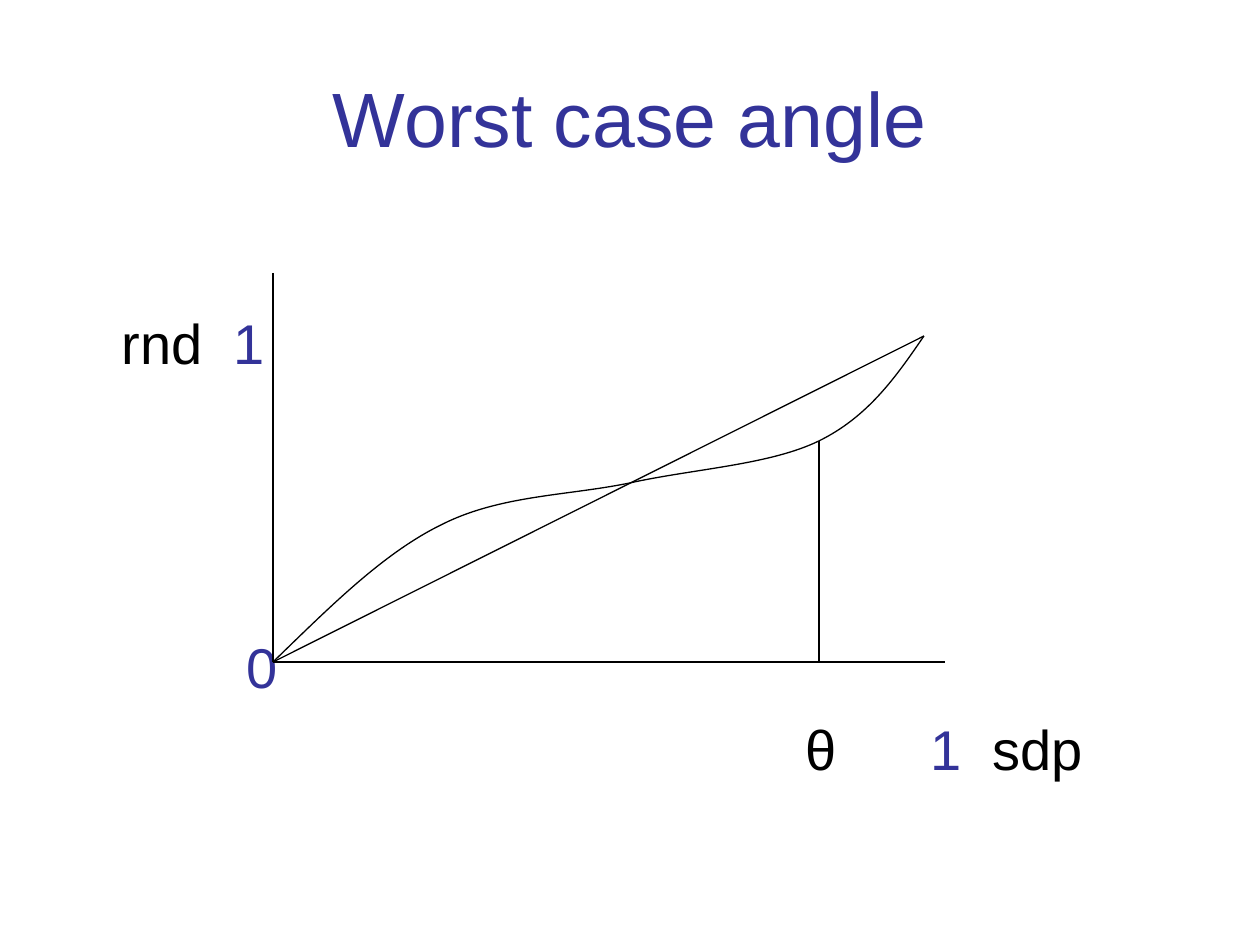
from dataclasses import dataclass

from lxml import etree
from pptx import Presentation
from pptx.dml.color import RGBColor
from pptx.enum.shapes import MSO_CONNECTOR
from pptx.enum.text import MSO_ANCHOR, MSO_AUTO_SIZE, PP_ALIGN
from pptx.oxml.ns import qn
from pptx.util import Pt

STRAIGHT = MSO_CONNECTOR.STRAIGHT
CENTER = PP_ALIGN.CENTER
LEFT = PP_ALIGN.LEFT
TOP = MSO_ANCHOR.TOP
MIDDLE = MSO_ANCHOR.MIDDLE
NO_AUTOFIT = MSO_AUTO_SIZE.NONE

EMU_PER_PX = 914400 / 126
FONT = "Arial"
COLORS = {"background": "FFFFFF", "ink": "000000", "accent": "333399"}

Point = tuple[int, int]


@dataclass(frozen=True)
class Label:
    text: str
    color: str = "ink"
    space_tracking: float = 0


@dataclass(frozen=True)
class LabelRow:
    indent: int
    labels: tuple[Label, ...]
    space_before: float = 0


@dataclass(frozen=True)
class Segment:
    begin: Point
    end: Point


@dataclass(frozen=True)
class Bezier:
    first_control: Point
    second_control: Point
    end: Point


ORIGIN = (273, 662)
UNIT_POINT = (924, 336)
THETA_POINT = (819, 441)

SEGMENTS = (
    Segment((ORIGIN[0], 273), ORIGIN),
    Segment(ORIGIN, (945, ORIGIN[1])),
    Segment(ORIGIN, UNIT_POINT),
    Segment(THETA_POINT, (THETA_POINT[0], ORIGIN[1])),
)

CURVE = (
    Bezier((328, 609), (382, 554), (441, 525)),
    Bezier((500, 495), (567, 496), (630, 483)),
    Bezier((693, 469), (770, 465), THETA_POINT),
    Bezier((868, 417), (896, 377), UNIT_POINT),
)

ROWS = (
    LabelRow(46, (Label("rnd", space_tracking=8.9), Label("1", "accent"))),
    LabelRow(171, (Label("0", "accent"),), space_before=147.2),
    LabelRow(
        730,
        (
            Label("θ", space_tracking=44.5),
            Label("1", "accent", space_tracking=8.9),
            Label("sdp"),
        ),
        space_before=8,
    ),
)


def px(length: int) -> int:
    return round(length * EMU_PER_PX)


def rgb(name: str) -> RGBColor:
    return RGBColor.from_string(COLORS[name])


def place(shape, left: int, top: int, width: int, height: int) -> None:
    shape.left, shape.top = px(left), px(top)
    shape.width, shape.height = px(width), px(height)


def add_text(
    paragraph, text: str, *, size: int, color: str, align=LEFT, tracking: float = 0
) -> None:
    paragraph.alignment = align
    run = paragraph.add_run()
    run.text = text
    run.font.name = FONT
    run.font.size = Pt(size)
    run.font.color.rgb = rgb(color)
    if tracking:
        run._r.get_or_add_rPr().set("spc", str(round(tracking * 100)))


def set_indent(paragraph, indent: int) -> None:
    properties = paragraph._p.get_or_add_pPr()
    properties.set("marL", str(px(indent)))
    properties.set("indent", "0")
    etree.SubElement(properties, qn("a:buNone"))


def fill_title(title) -> None:
    place(title, 63, 38, 1134, 158)
    frame = title.text_frame
    frame.auto_size = NO_AUTOFIT
    frame.vertical_anchor = MIDDLE
    add_text(frame.paragraphs[0], "Worst case angle", size=44, color="accent", align=CENTER)


def fill_labels(body, rows: tuple[LabelRow, ...]) -> None:
    place(body, 63, 221, 1134, 624)
    frame = body.text_frame
    frame.auto_size = NO_AUTOFIT
    frame.vertical_anchor = TOP
    frame.margin_top = px(87)
    for index, row in enumerate(rows):
        paragraph = frame.add_paragraph() if index else frame.paragraphs[0]
        set_indent(paragraph, row.indent)
        paragraph.space_before = Pt(row.space_before)
        for label in row.labels:
            add_text(paragraph, label.text, size=32, color=label.color)
            if label.space_tracking:
                add_text(
                    paragraph, " ", size=32, color=label.color, tracking=label.space_tracking
                )


def style_line(line) -> None:
    line.color.rgb = rgb("ink")
    line.width = Pt(0.75)


def add_segment(slide, segment: Segment) -> None:
    connector = slide.shapes.add_connector(
        STRAIGHT, *map(px, segment.begin), *map(px, segment.end)
    )
    style_line(connector.line)
    etree.SubElement(connector._element.spPr, qn("a:effectLst"))


def add_curve(slide, start: Point, curve: tuple[Bezier, ...]) -> None:
    builder = slide.shapes.build_freeform(*start, scale=EMU_PER_PX)
    builder.add_line_segments([bezier.end for bezier in curve], close=False)
    shape = builder.convert_to_shape()
    shape.fill.background()
    shape.shadow.inherit = False
    style_line(shape.line)
    left, top = start[0], curve[-1].end[1]
    lines = list(shape._element.iter(qn("a:lnTo")))
    for line, bezier in zip(lines, curve):
        cubic = etree.Element(qn("a:cubicBezTo"))
        for x, y in (bezier.first_control, bezier.second_control, bezier.end):
            etree.SubElement(cubic, qn("a:pt"), x=str(x - left), y=str(y - top))
        line.getparent().replace(line, cubic)


def main() -> None:
    presentation = Presentation()
    presentation.slide_width = px(1260)
    presentation.slide_height = px(945)
    slide = presentation.slides.add_slide(presentation.slide_layouts[1])
    slide.background.fill.solid()
    slide.background.fill.fore_color.rgb = rgb("background")
    fill_title(slide.shapes.title)
    fill_labels(slide.placeholders[1], ROWS)
    for segment in SEGMENTS:
        add_segment(slide, segment)
    add_curve(slide, ORIGIN, CURVE)
    presentation.save("out.pptx")


if __name__ == "__main__":
    main()
